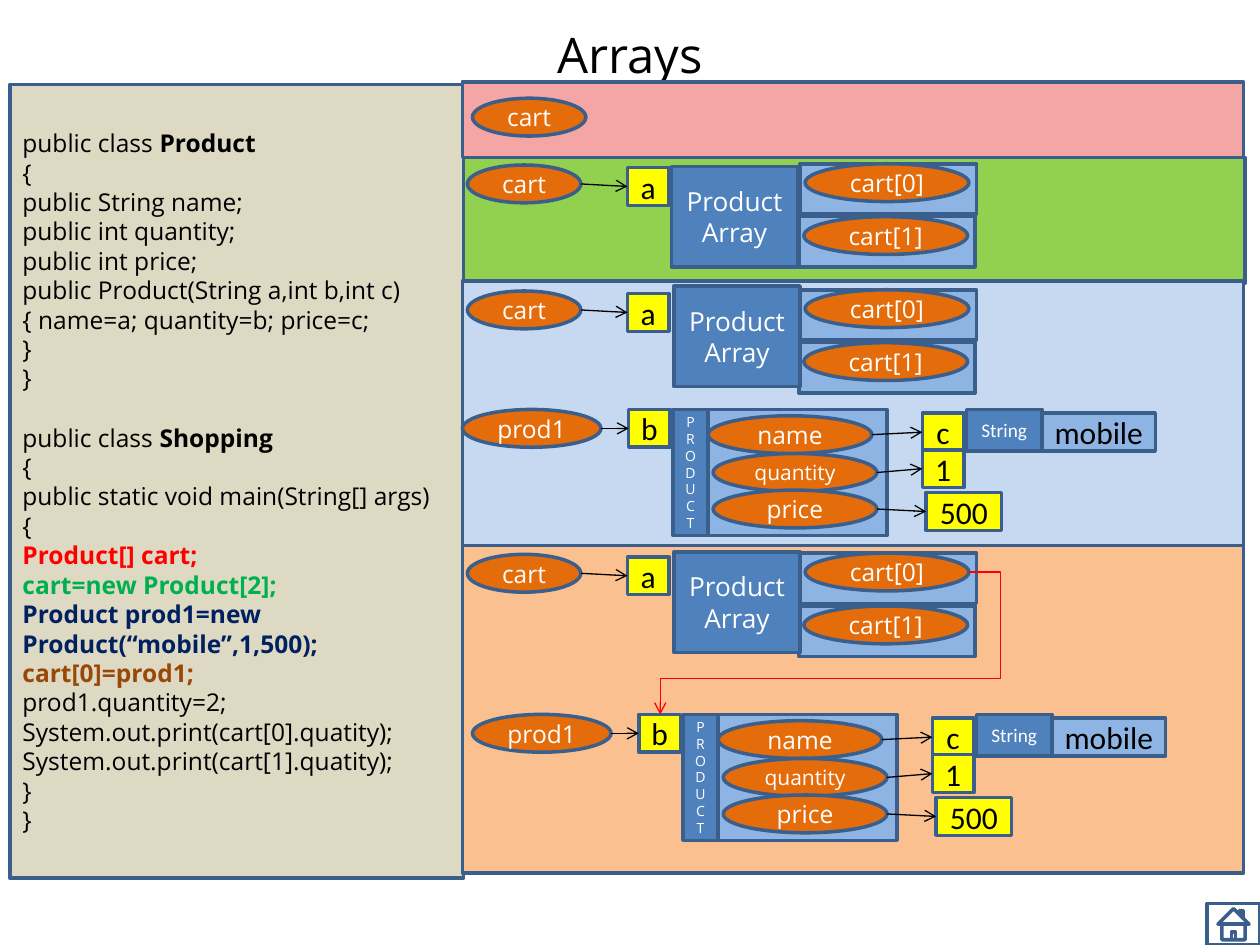
import pptx
import pptx.dml.color
import pptx.enum.shapes
import pptx.enum.text
import pptx.oxml.ns
import pptx.util
from lxml import etree

Inches, Pt = pptx.util.Inches, pptx.util.Pt
RGB = pptx.dml.color.RGBColor
SHAPE = pptx.enum.shapes.MSO_SHAPE
CONNECTOR = pptx.enum.shapes.MSO_CONNECTOR
ALIGN = pptx.enum.text.PP_ALIGN
MIDDLE = pptx.enum.text.MSO_ANCHOR.MIDDLE
qn = pptx.oxml.ns.qn

BLACK = RGB(0x00, 0x00, 0x00)
WHITE = RGB(0xFF, 0xFF, 0xFF)
OUTLINE = RGB(0x3A, 0x5F, 0x8C)
CODE_FILL = RGB(0xDD, 0xD9, 0xC3)
ROSE = RGB(0xF4, 0xA6, 0xA6)
LIME = RGB(0x92, 0xD0, 0x50)
PALE_BLUE = RGB(0xC6, 0xD9, 0xF1)
PEACH = RGB(0xFA, 0xC0, 0x90)
ORANGE = RGB(0xE4, 0x6C, 0x0A)
YELLOW = RGB(0xFF, 0xFF, 0x00)
SKY = RGB(0x8E, 0xB4, 0xE3)
BLUE = RGB(0x4F, 0x81, 0xBD)
RED = RGB(0xFF, 0x00, 0x00)
GREEN = RGB(0x00, 0xB0, 0x50)
NAVY = RGB(0x00, 0x20, 0x60)
BROWN = RGB(0x98, 0x48, 0x07)

CLASSES = [
    ("Product", ["{", "public String name;", "public int quantity;",
                 "public int price;", "public Product(String a,int b,int c)",
                 "{ name=a; quantity=b; price=c;", "}", "}"]),
    ("Shopping", ["{", "public static void main(String[] args)", "{",
                  "Product[] cart;", "cart=new Product[2];",
                  "Product prod1=new Product(“mobile”,1,500);",
                  "cart[0]=prod1;", "prod1.quantity=2;",
                  "System.out.print(cart[0].quatity);",
                  "System.out.print(cart[1].quatity);", "}", "}"]),
]
STEP_COLORS = {"Product[] cart;": RED, "cart=new Product[2];": GREEN,
               "Product prod1=new Product(“mobile”,1,500);": NAVY,
               "cart[0]=prod1;": BROWN}


def set_font(paragraph, size, color, name="Open Sans", bold=False):
    """Set the font that all runs of a paragraph share."""
    font = paragraph.font
    font.size, font.name, font.bold = Pt(size), name, bold
    font.color.rgb = color


def add_box(slide, left, top, width, height, fill=None, kind=SHAPE.RECTANGLE):
    """Add an outlined shape, unfilled when fill is None."""
    box = slide.shapes.add_shape(kind, Inches(left), Inches(top),
                                 Inches(width), Inches(height))
    box.shadow.inherit = False
    if fill is None:
        box.fill.background()
    else:
        box.fill.solid()
        box.fill.fore_color.rgb = fill
    box.line.color.rgb = OUTLINE
    box.line.width = Pt(2)
    return box


def write(box, text, size, color, name="Open Sans", align=ALIGN.CENTER):
    """Write one paragraph per line of text, centred vertically."""
    frame = box.text_frame
    frame.word_wrap = True
    frame.vertical_anchor = MIDDLE
    if align == ALIGN.CENTER:
        frame.margin_left = frame.margin_right = 0
    frame.text = text
    for paragraph in frame.paragraphs:
        paragraph.alignment = align
        set_font(paragraph, size, color, name)


def add_variable(slide, left, top, width, text, size=14):
    """Add an orange oval that names a variable."""
    oval = add_box(slide, left, top, width, 0.3, ORANGE, SHAPE.OVAL)
    write(oval, text, size, WHITE)


def add_value(slide, left, top, text, width=0.33):
    """Add a yellow box that holds an address or a value."""
    write(add_box(slide, left, top, width, 0.3, YELLOW), text, 18, BLACK, "Calibri")


def add_arrow(slide, x1, y1, x2, y2, color=BLACK, kind=CONNECTOR.STRAIGHT):
    """Add a thin connector with an open arrowhead at its end."""
    arrow = slide.shapes.add_connector(kind, Inches(x1), Inches(y1),
                                       Inches(x2), Inches(y2))
    arrow.line.color.rgb = color
    arrow.line.width = Pt(0.75)
    properties = arrow._element.spPr
    line = properties.find(qn("a:ln"))
    etree.SubElement(line, qn("a:tailEnd"), type="arrow")
    etree.SubElement(properties, qn("a:effectLst"))
    return arrow


def add_reference(slide, x1, y1, x2, y2):
    """Add the red arrow that leaves rightwards and turns back down."""
    arrow = add_arrow(slide, x1, y1, x2, y2, RED, CONNECTOR.ELBOW)
    geometry = arrow._element.spPr.find(qn("a:prstGeom"))
    geometry.set("prst", "bentConnector4")
    guides = geometry.find(qn("a:avLst"))
    if guides is None:
        guides = etree.SubElement(geometry, qn("a:avLst"))
    for name, value in (("adj1", -10200), ("adj2", 75000)):
        etree.SubElement(guides, qn("a:gd"), name=name, fmla=f"val {value}")


def add_title(slide, left, top, width, height):
    """Add the centred slide title."""
    title = slide.shapes.add_textbox(Inches(left), Inches(top),
                                     Inches(width), Inches(height))
    write(title, "Arrays", 28, BLACK)


def add_code(slide, left, top, width, height):
    """Add the listing of both classes, with the four steps coloured."""
    frame = add_box(slide, left, top, width, height, CODE_FILL).text_frame
    frame.word_wrap = True
    frame.vertical_anchor = MIDDLE
    paragraph = frame.paragraphs[0]
    for index, (class_name, lines) in enumerate(CLASSES):
        if index:
            paragraph = frame.add_paragraph()
            paragraph.space_before = Pt(17)
        paragraph.alignment = ALIGN.LEFT
        set_font(paragraph, 14, BLACK)
        paragraph.add_run().text = "public class "
        name_run = paragraph.add_run()
        name_run.text = class_name
        name_run.font.bold = True
        for line in lines:
            paragraph = frame.add_paragraph()
            paragraph.text = line
            paragraph.alignment = ALIGN.LEFT
            set_font(paragraph, 14, STEP_COLORS.get(line, BLACK),
                     bold=line in STEP_COLORS)


def add_cart_array(slide, left, top, label_left, label_top):
    """Add the cart variable pointing to its array of two products."""
    add_variable(slide, left, top, 0.9, "cart")
    add_value(slide, left + 1.27, top + 0.02, "a")
    add_arrow(slide, left + 0.9, top + 0.15, left + 1.27, top + 0.17)
    for index in range(2):
        cell_left = left + 2.64 - 0.01 * index
        cell_top = top - 0.01 + 0.42 * index
        add_box(slide, cell_left, cell_top, 1.4, 0.4, SKY)
        add_variable(slide, cell_left + 0.04, cell_top, 1.3, f"cart[{index}]")
    label = add_box(slide, label_left, label_top, 1, 0.8, BLUE)
    write(label, "Product\nArray", 15, WHITE)


def add_product(slide, left, top):
    """Add the prod1 variable pointing to a product and its fields."""
    add_variable(slide, left, top, 1.1, "prod1")
    add_box(slide, left + 1.95, top, 1.42, 1, SKY)
    fields = [("name", 14, 1.95, 0.05), ("quantity", 12, 1.99, 0.35),
              ("price", 14, 1.99, 0.64)]
    for name, size, dx, dy in fields:
        add_variable(slide, left + dx, top + dy, 1.3, name, size)
    add_value(slide, left + 1.32, top, "b")
    add_arrow(slide, left + 1.1, top + 0.15, left + 1.32, top + 0.15)
    text = add_box(slide, left + 4, top + 0.03, 1.5, 0.3, SKY)
    write(text, "mobile", 18, BLACK, "Calibri", ALIGN.RIGHT)
    write(add_box(slide, left + 4, top, 0.6, 0.33, BLUE), "String", 11, WHITE, "Calibri")
    values = [("c", 0.33, 3.65, 0.03), ("1", 0.33, 3.65, 0.32),
              ("500", 0.6, 3.68, 0.66)]
    for (_, _, field_dx, field_dy), (value, width, dx, dy) in zip(fields, values):
        add_value(slide, left + dx, top + dy, value, width)
        add_arrow(slide, left + field_dx + 1.3, top + field_dy + 0.15,
                  left + dx, top + dy + 0.15)
    write(add_box(slide, left + 1.67, top, 0.28, 1, BLUE), "\n".join("PRODUCT"), 8, WHITE)


def build():
    """Build the slide: code on the left, one memory panel per step."""
    deck = pptx.Presentation()
    deck.slide_width, deck.slide_height = Inches(10), Inches(7.5)
    slide = deck.slides.add_slide(deck.slide_layouts[6])
    add_title(slide, 0.5, 0.04, 9, 0.78)
    add_box(slide, 9.58, 7.17, 0.42, 0.33, kind=SHAPE.ACTION_BUTTON_HOME)
    add_code(slide, 0.08, 0.67, 3.6, 6.3)

    add_box(slide, 3.67, 0.65, 6.2, 0.6, ROSE)
    add_variable(slide, 3.75, 0.78, 0.9, "cart")

    add_box(slide, 3.68, 1.25, 6.2, 1, LIME)
    add_cart_array(slide, 3.71, 1.31, 5.33, 1.32)

    add_box(slide, 3.67, 2.23, 6.2, 2.1, PALE_BLUE)
    add_cart_array(slide, 3.71, 2.31, 5.35, 2.27)
    add_product(slide, 3.67, 3.25)

    add_box(slide, 3.67, 4.33, 6.2, 2.6, PEACH)
    add_cart_array(slide, 3.71, 4.4, 5.35, 4.38)
    add_product(slide, 3.75, 5.67)
    add_reference(slide, 7.69, 4.54, 5.24, 5.67)
    deck.save("out.pptx")


build()
